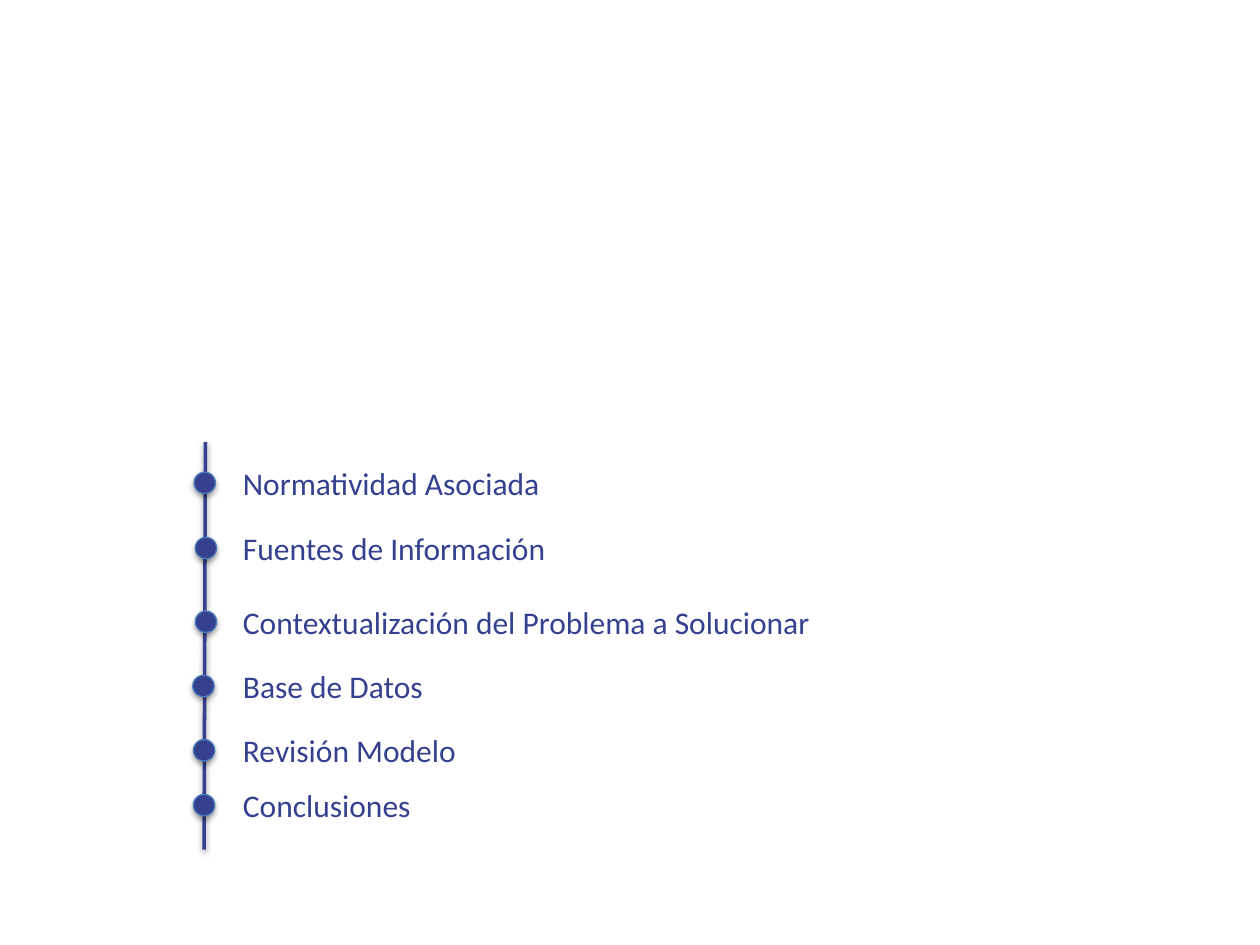
"""Build an agenda slide: six topics beside a vertical timeline."""
from dataclasses import dataclass

from pptx import Presentation
from pptx import util as u
from pptx.dml import color
from pptx.enum import shapes, text
from pptx.slide import Slide

WIDTH, HEIGHT = u.Inches(10), u.Inches(7.5)


@dataclass(frozen=True)
class Theme:
    ink: color.RGBColor = color.RGBColor(0x35, 0x40, 0x8F)
    outline: color.RGBColor = color.RGBColor(0x4A, 0x7D, 0xBA)
    font: str = "Calibri"
    size: u.Length = u.Pt(18)
    axis_line: u.Length = u.Pt(2)
    dot_line: u.Length = u.Pt(0.75)


@dataclass(frozen=True)
class Topic:
    label: str
    dot_x: float
    y: float
    width: float


THEME = Theme()
TEXT_LEFT, TEXT_HEIGHT = 18.3, 5.4
DOT = u.Inches(0.17)
TOPICS = (
    Topic("Normatividad Asociada", 16.25, 51.1, 31.7),
    Topic("Fuentes de Información", 16.35, 58, 31.7),
    Topic("Contextualización del Problema a Solucionar", 16.35, 65.8, 68.8),
    Topic("Base de Datos", 16.15, 72.6, 50),
    Topic("Revisión Modelo", 16.2, 79.4, 47.2),
    Topic("Conclusiones", 16.2, 85.2, 47.2),
)


def across(percent: float) -> u.Length:
    return u.Emu(round(WIDTH * percent / 100))


def down(percent: float) -> u.Length:
    return u.Emu(round(HEIGHT * percent / 100))


def draw_axis(s: Slide) -> None:
    sp = s.shapes.add_connector(
        shapes.MSO_CONNECTOR.STRAIGHT, across(16.3), down(46.8), across(16.2), down(89.9)
    )
    sp.line.color.rgb = THEME.ink
    sp.line.width = THEME.axis_line


def draw_dot(s: Slide, topic: Topic) -> None:
    sp = s.shapes.add_shape(
        shapes.MSO_SHAPE.OVAL,
        across(topic.dot_x) - DOT // 2, down(topic.y) - DOT // 2, DOT, DOT,
    )
    sp.fill.solid()
    sp.fill.fore_color.rgb = THEME.ink
    sp.line.color.rgb = THEME.outline
    sp.line.width = THEME.dot_line


def draw_label(s: Slide, topic: Topic) -> None:
    sp = s.shapes.add_textbox(
        across(TEXT_LEFT), down(topic.y - TEXT_HEIGHT / 2),
        across(topic.width), down(TEXT_HEIGHT),
    )
    tf = sp.text_frame
    tf.word_wrap = True
    tf.auto_size = text.MSO_AUTO_SIZE.SHAPE_TO_FIT_TEXT
    p = tf.paragraphs[0]
    p.text = topic.label
    p.font.name = THEME.font
    p.font.size = THEME.size
    p.font.color.rgb = THEME.ink


def main() -> None:
    prs = Presentation()
    prs.slide_width, prs.slide_height = WIDTH, HEIGHT
    s = prs.slides.add_slide(prs.slide_layouts[6])
    draw_axis(s)
    for topic in TOPICS:
        draw_dot(s, topic)
        draw_label(s, topic)
    prs.save("out.pptx")


if __name__ == "__main__":
    main()
